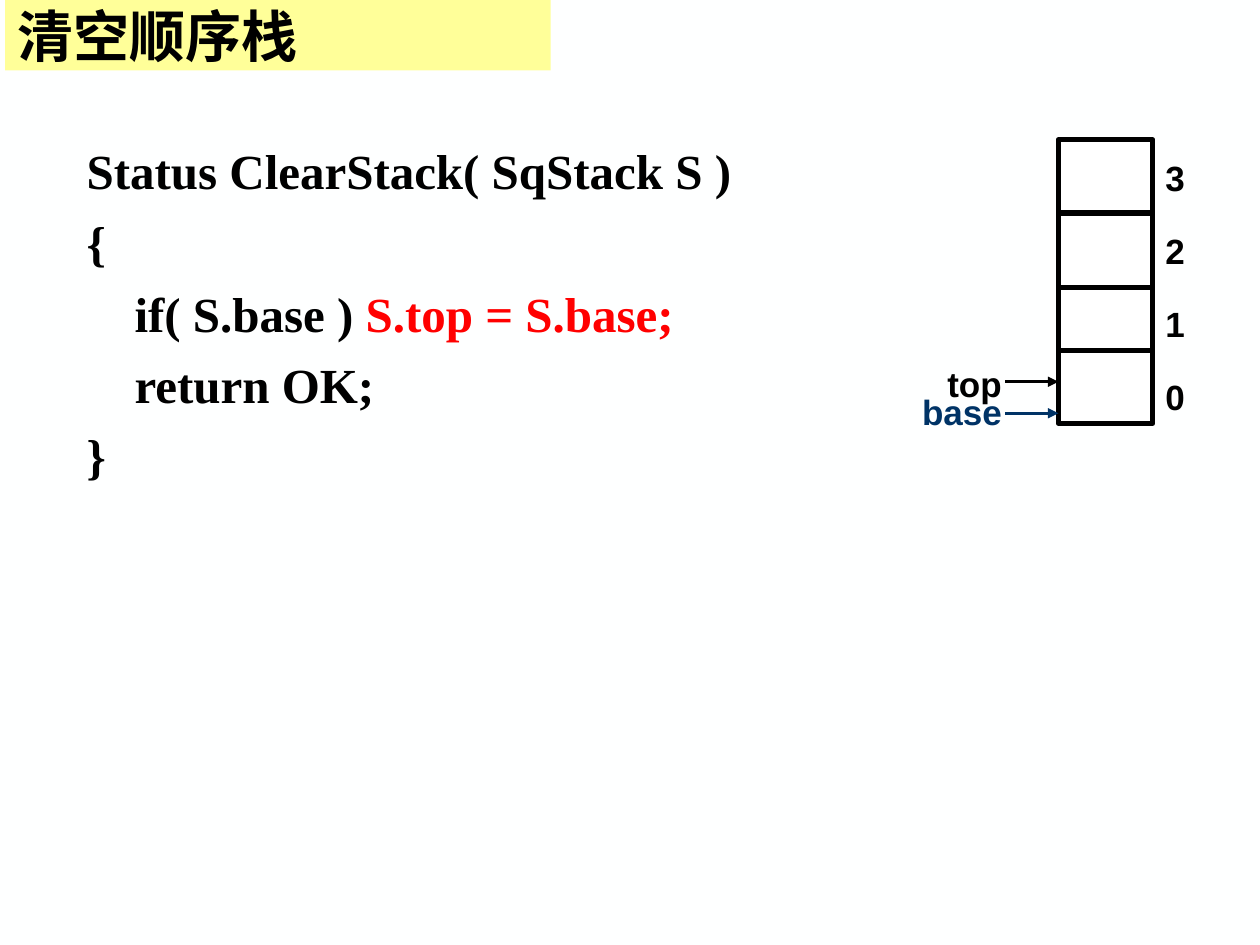
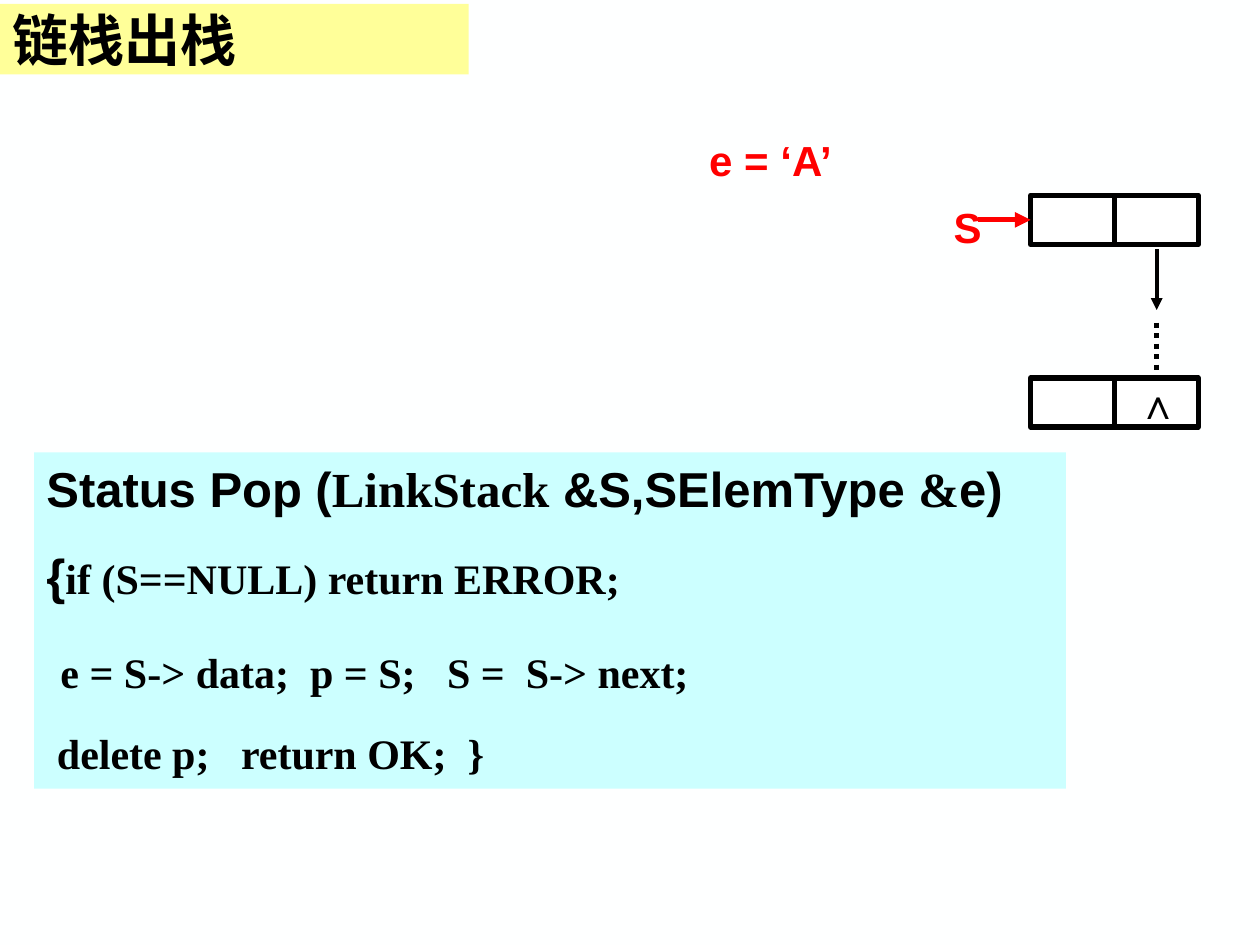
from typing import NamedTuple, Optional

from lxml.etree import SubElement
from pptx import Presentation
from pptx.dml.color import RGBColor
from pptx.enum.dml import MSO_LINE_DASH_STYLE as Dash
from pptx.enum.shapes import MSO_CONNECTOR as Connector, MSO_SHAPE as Preset
from pptx.enum.text import MSO_ANCHOR as Anchor, MSO_AUTO_SIZE as AutoSize, PP_ALIGN as Align
from pptx.oxml.ns import qn
from pptx.util import Inches, Pt

BLACK = RGBColor(0x00, 0x00, 0x00)
WHITE = RGBColor(0xFF, 0xFF, 0xFF)
RED = RGBColor(0xFF, 0x00, 0x00)
NAVY = RGBColor(0x00, 0x33, 0x66)
PALE_YELLOW = RGBColor(0xFF, 0xFF, 0x99)
PALE_CYAN = RGBColor(0xCC, 0xFF, 0xFF)
PAGE = RGBColor(0xFE, 0xFF, 0xFF)
SANS, SERIF, CHINESE = "Arial", "Times New Roman", "Noto Sans CJK SC"
TITLE_ONLY = 5


class Box(NamedTuple):
    left: float
    top: float
    width: float
    height: float

    @property
    def right(self) -> float:
        return self.left + self.width

    @property
    def bottom(self) -> float:
        return self.top + self.height

    @property
    def middle(self) -> float:
        return self.top + self.height / 2


class Span(NamedTuple):
    """A piece of a line; unset parts follow the format of the whole text."""
    text: str
    font: Optional[str] = None
    size: Optional[float] = None
    color: Optional[RGBColor] = None


class Label(NamedTuple):
    text: str
    box: Box
    color: RGBColor = BLACK
    size: float = 24
    align: Align = Align.CENTER


def inches(*values: float) -> list:
    return [Inches(value) for value in values]


def write(shape, lines: list, *, font: str = SANS, size: float = 24, color: RGBColor = BLACK,
          align: Align = Align.LEFT, anchor: Anchor = Anchor.TOP,
          gap: float = 0, hanging: float = 0) -> None:
    """Fill a shape with lines, each one a list of spans."""
    frame = shape.text_frame
    frame.word_wrap = True
    frame.auto_size = AutoSize.NONE
    frame.vertical_anchor = anchor
    for number, spans in enumerate(lines):
        paragraph = frame.add_paragraph() if number else frame.paragraphs[0]
        paragraph.alignment = align
        if number and gap:
            paragraph.space_before = Pt(gap)
        if hanging:
            properties = paragraph._p.get_or_add_pPr()
            properties.set("marL", str(Inches(hanging)))
            properties.set("indent", str(-Inches(hanging)))
        for span in spans:
            run = paragraph.add_run()
            run.text = span.text
            run.font.name = span.font or font
            run.font.size = Pt(span.size or size)
            run.font.bold = True
            run.font.color.rgb = span.color or color
            if run.font.name == CHINESE:
                SubElement(run._r.get_or_add_rPr(), qn("a:ea"), typeface=CHINESE)


def add_slide(deck, title: str, box: Box):
    slide = deck.slides.add_slide(deck.slide_layouts[TITLE_ONLY])
    band = slide.shapes.title
    band.left, band.top, band.width, band.height = inches(*box)
    band.fill.solid()
    band.fill.fore_color.rgb = PALE_YELLOW
    write(band, [[Span(title)]], font=CHINESE, size=32, anchor=Anchor.MIDDLE)
    return slide


def add_rectangle(slide, box: Box, fill: RGBColor, outlined: bool = True):
    rectangle = slide.shapes.add_shape(Preset.RECTANGLE, *inches(*box))
    rectangle.shadow.inherit = False
    rectangle.fill.solid()
    rectangle.fill.fore_color.rgb = fill
    if outlined:
        rectangle.line.color.rgb = BLACK
        rectangle.line.width = Pt(3)
    else:
        rectangle.line.fill.background()
    return rectangle


def add_line(slide, start: tuple, end: tuple, color: RGBColor = BLACK, width: float = 3,
             arrow: bool = False, dash: Optional[Dash] = None):
    line = slide.shapes.add_connector(Connector.STRAIGHT, *inches(*start, *end))
    line.line.color.rgb = color
    line.line.width = Pt(width)
    if dash:
        line.line.dash_style = dash
    properties = line.element.spPr
    if arrow:
        SubElement(properties.find(qn("a:ln")), qn("a:tailEnd"), type="triangle")
    SubElement(properties, qn("a:effectLst"))
    return line


def add_label(slide, label: Label) -> None:
    text_box = slide.shapes.add_textbox(*inches(*label.box))
    write(text_box, [[Span(label.text)]], size=label.size, color=label.color, align=label.align)


def add_node(slide, box: Box):
    """A linked-list node: data field and pointer field."""
    node = add_rectangle(slide, box, WHITE)
    center = box.left + box.width / 2
    divider = add_line(slide, (center, box.top), (center, box.bottom))
    divider.begin_connect(node, 0)
    divider.end_connect(node, 2)
    return node


def build_clear_stack(deck) -> None:
    slide = add_slide(deck, "清空顺序栈", Box(0.04, 0, 4.33, 0.56))

    # Code
    code = slide.shapes.add_textbox(*inches(0.59, 1.07, 8.5, 3.23))
    write(code, [
        [Span("Status ClearStack( SqStack S )")],
        [Span("{")],
        [Span("\tif( S.base ) "), Span("S.top = S.base;", color=RED)],
        [Span("\treturn OK;")],
        [Span("}")],
    ], font=SERIF, size=28, gap=7, hanging=0.38)

    # Stack cells and their indexes
    stack = Box(8.4, 1.11, 0.75, 2.25)
    add_rectangle(slide, stack, WHITE)
    for y in (1.69, 2.28, 2.78):
        add_line(slide, (stack.left, y), (stack.right, y))
    for row, index in enumerate("3210"):
        index_box = Box(stack.right, 1.19 + row * 0.58, 0.33, 0.43)
        add_label(slide, Label(index, index_box, size=20, align=Align.LEFT))

    # Pointers to the bottom cell
    pointers = [
        (Label("base", Box(6.97, 3.05, 1.33, 0.43), NAVY, 20), 3.28),
        (Label("top", Box(7.07, 2.83, 1.33, 0.43), BLACK, 20), 3.03),
    ]
    for label, y in pointers:
        add_line(slide, (7.98, y), (stack.left, y), label.color, 1.5, arrow=True)
        add_label(slide, label)


def build_linked_pop(deck) -> None:
    slide = add_slide(deck, "链栈出栈", Box(0, 0.03, 3.72, 0.56))

    # Code
    code = add_rectangle(slide, Box(0.27, 3.59, 8.19, 2.67), PALE_CYAN, outlined=False)
    write(code, [
        [Span("Status Pop (", SANS, 28), Span("LinkStack", size=28),
         Span(" &S,SElemType ", SANS, 28), Span("&", size=28), Span("e)", SANS, 28)],
        [Span("{", SANS, 28), Span("if (S==NULL) return ERROR;")],
        [Span(" ", size=32), Span("e = S-> data;  p = S;   S =  S-> next;")],
        [Span(" delete p;   return OK;  }")],
    ], font=SERIF, size=24, gap=16)

    # Linked nodes
    top_box = Box(8.18, 1.55, 1.33, 0.39)
    top_node = add_node(slide, top_box)
    add_node(slide, top_box._replace(top=3))
    next_x = 9.18
    add_line(slide, (next_x, 1.98), (next_x, 2.46), width=2.25, arrow=True)
    add_line(slide, (next_x, 2.56), (next_x, 2.95), dash=Dash.ROUND_DOT)

    # Stack pointer
    pointer = add_line(slide, (7.76, top_box.middle), (top_box.left, top_box.middle), RED, arrow=True)
    pointer.end_connect(top_node, 1)

    # Labels
    for label in (
        Label("∧", Box(8.93, 2.95, 0.5, 0.5)),
        Label("e = ‘A’", Box(5.24, 1.02, 1.75, 0.5), RED),
        Label("S", Box(7.43, 1.55, 0.5, 0.5), RED),
    ):
        add_label(slide, label)


def main() -> None:
    deck = Presentation()
    deck.slide_width, deck.slide_height = inches(10, 7.5)
    background = deck.slide_master.background.fill
    background.solid()
    background.fore_color.rgb = PAGE
    build_clear_stack(deck)
    build_linked_pop(deck)
    deck.save("out.pptx")


if __name__ == "__main__":
    main()
